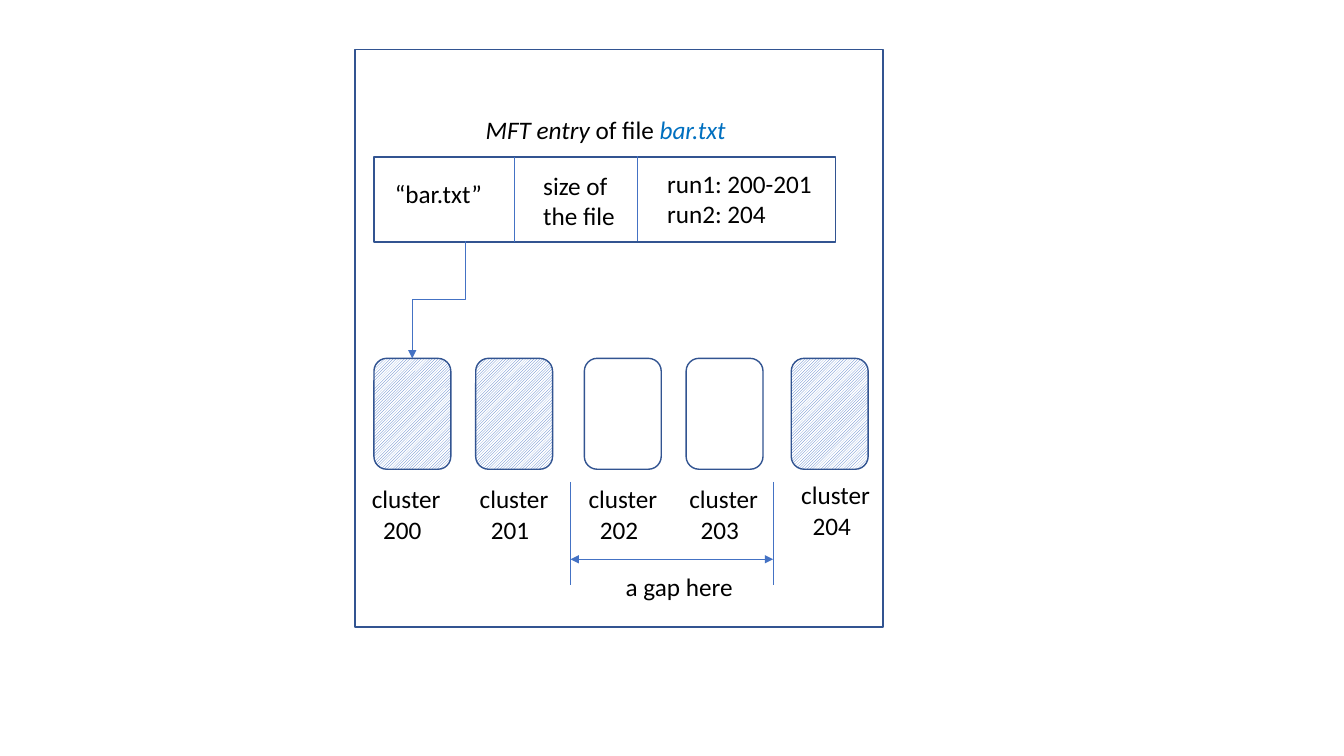
from typing import NamedTuple

from lxml.etree import SubElement as SubEl
from pptx import Presentation
from pptx.dml.color import RGBColor
from pptx.enum.dml import MSO_PATTERN as Pattern
from pptx.enum.shapes import MSO_CONNECTOR as Link, MSO_SHAPE as Form
from pptx.enum.text import MSO_AUTO_SIZE as Fit
from pptx.oxml.ns import qn
from pptx.util import Pt

BLACK = RGBColor(0x00, 0x00, 0x00)
WHITE = RGBColor(0xFF, 0xFF, 0xFF)
BLUE = RGBColor(0x44, 0x72, 0xC4)
NAVY = RGBColor(0x32, 0x54, 0x91)
SKY = RGBColor(0x00, 0x70, 0xC0)


class Box(NamedTuple):
    left: float
    top: float
    width: float
    height: float


class Piece(NamedTuple):
    text: str
    color: RGBColor = BLACK
    slant: bool = False


class Para(NamedTuple):
    runs: list[Piece]
    indent: float = 0


class Label(NamedTuple):
    box: Box
    paras: list[Para]


class Line(NamedTuple):
    start: tuple[float, float]
    end: tuple[float, float]
    heads: tuple[str, ...] = ()
    form: Link = Link.STRAIGHT
    turn: int = 0


class Cluster(NamedTuple):
    number: int
    left: float
    text_left: float
    used: bool
    text_top: float = 342


def plain(*lines: str) -> list[Para]:
    return [Para([Piece(line)]) for line in lines]


def draw_box(slide, form: Form, box: Box, used: bool = False) -> None:
    shape = slide.shapes.add_shape(form, *map(Pt, box))
    shape.shadow.inherit = False
    shape.line.color.rgb = NAVY
    shape.line.width = Pt(1)
    if used:
        shape.fill.patterned()
        shape.fill.pattern = Pattern.LIGHT_UPWARD_DIAGONAL
        shape.fill.fore_color.rgb = BLUE
        shape.fill.back_color.rgb = WHITE
    else:
        shape.fill.background()


def draw_label(slide, label: Label) -> None:
    frame = slide.shapes.add_textbox(*map(Pt, label.box)).text_frame
    frame.word_wrap = True
    frame.auto_size = Fit.SHAPE_TO_FIT_TEXT
    for i, para in enumerate(label.paras):
        block = frame.add_paragraph() if i else frame.paragraphs[0]
        if para.indent:
            block._p.get_or_add_pPr().set("marL", str(Pt(para.indent)))
        for piece in para.runs:
            run = block.add_run()
            run.text = piece.text
            run.font.name = "Calibri"
            run.font.size = Pt(18)
            run.font.italic = piece.slant
            run.font.color.rgb = piece.color


def draw_line(slide, line: Line) -> None:
    link = slide.shapes.add_connector(line.form, *map(Pt, line.start + line.end))
    link.line.color.rgb = BLUE
    link.line.width = Pt(0.5)
    props = link._element.spPr
    if line.turn:
        props.get_or_add_xfrm().set("rot", str(line.turn * 60000))
    for head in line.heads:
        SubEl(props.find(qn("a:ln")), qn(f"a:{head}")).set("type", "triangle")
    SubEl(props, qn("a:effectLst"))


FRAME = Box(253.5, 35.3, 377.3, 412.6)
ENTRY = Box(267.1, 112.3, 329.8, 60.5)
TOP = 256
GAP_LEFT, GAP_RIGHT = 407.5, 552.3

CLUSTERS = [
    Cluster(200, 267.1, 258.5, True),
    Cluster(201, 339.8, 335.5, True),
    Cluster(202, 417.4, 413.3, False),
    Cluster(203, 490.1, 485.3, False),
    Cluster(204, 565.2, 565.2, True, 339.1),
]

LABELS = [
    Label(Box(339.8, 77.8, 220.3, 29), [Para([
        Piece("MFT entry", slant=True),
        Piece(" of file "),
        Piece("bar.txt", SKY, True),
    ])]),
    Label(Box(275, 123.8, 77, 29), plain("“bar.txt”")),
    Label(Box(380.9, 118.1, 66.2, 51), plain("size of", "the file")),
    Label(Box(469.4, 116.6, 118.8, 51), plain("run1: 200-201", "run2: 204")),
    Label(Box(439.9, 404.6, 100.8, 29), plain("a gap here")),
]

LINES = [
    Line((367.4, 112.3), (367.4, 173.2)),
    Line((455.2, 111.5), (455.2, 172.3)),
    Line((271.4, 195.3), (355.1, 232.9), ("tailEnd",), Link.ELBOW, 90),
    *(Line((x, 344.2), (x, 417.6)) for x in (GAP_LEFT, GAP_RIGHT)),
    Line((GAP_LEFT, 399.5), (GAP_RIGHT, 399.5), ("headEnd", "tailEnd")),
]

deck = Presentation()
deck.slide_width, deck.slide_height = Pt(960), Pt(540)
slide = deck.slides.add_slide(deck.slide_layouts[6])

for box in (FRAME, ENTRY):
    draw_box(slide, Form.RECTANGLE, box)
for item in CLUSTERS:
    body = Box(item.left, TOP, 54.9, 79.2)
    draw_box(slide, Form.ROUNDED_RECTANGLE, body, item.used)
    draw_label(slide, Label(
        Box(item.text_left, item.text_top, 64.1, 51),
        [Para([Piece("cluster")]), Para([Piece(str(item.number))], 8.1)],
    ))
for label in LABELS:
    draw_label(slide, label)
for line in LINES:
    draw_line(slide, line)

deck.save("out.pptx")
